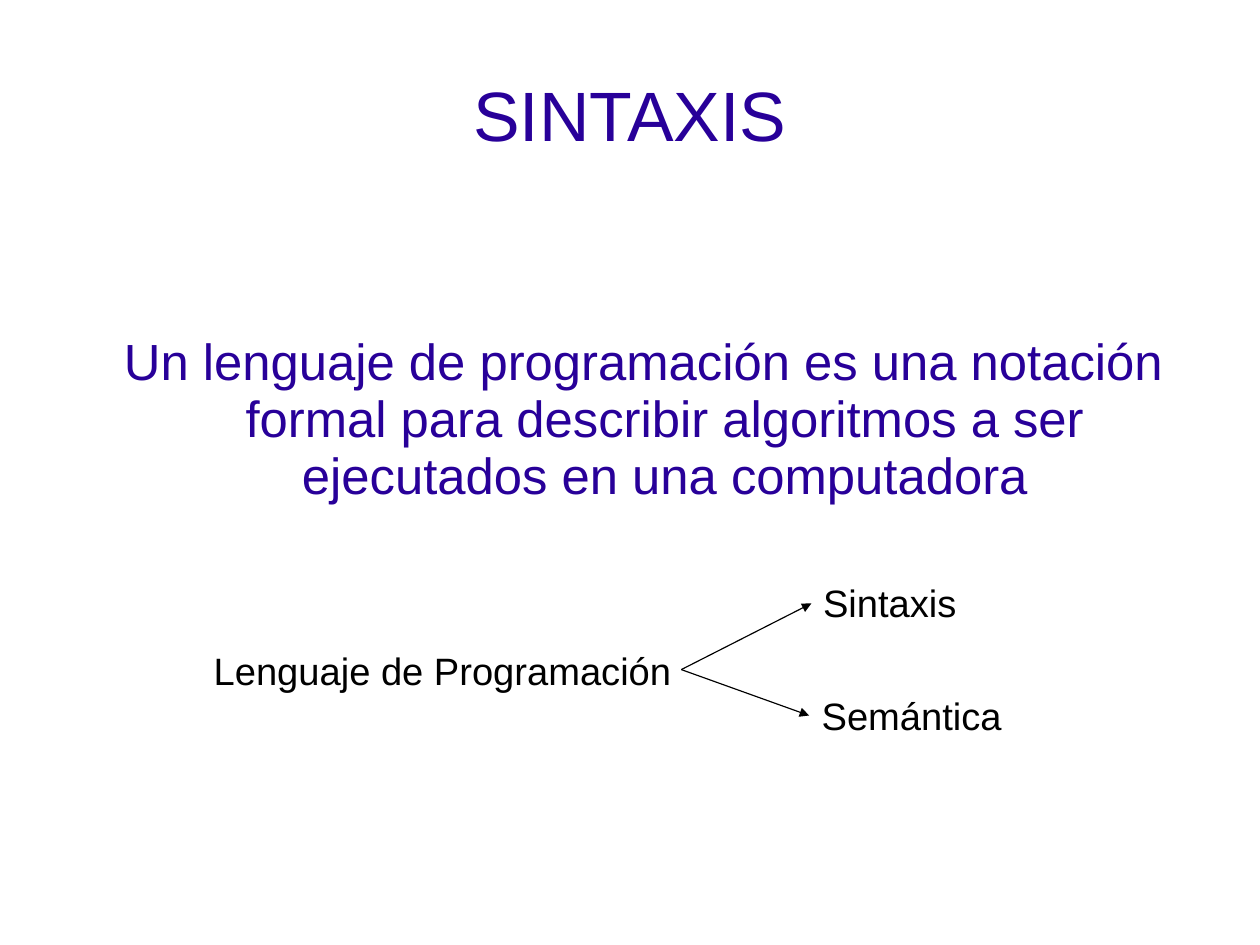
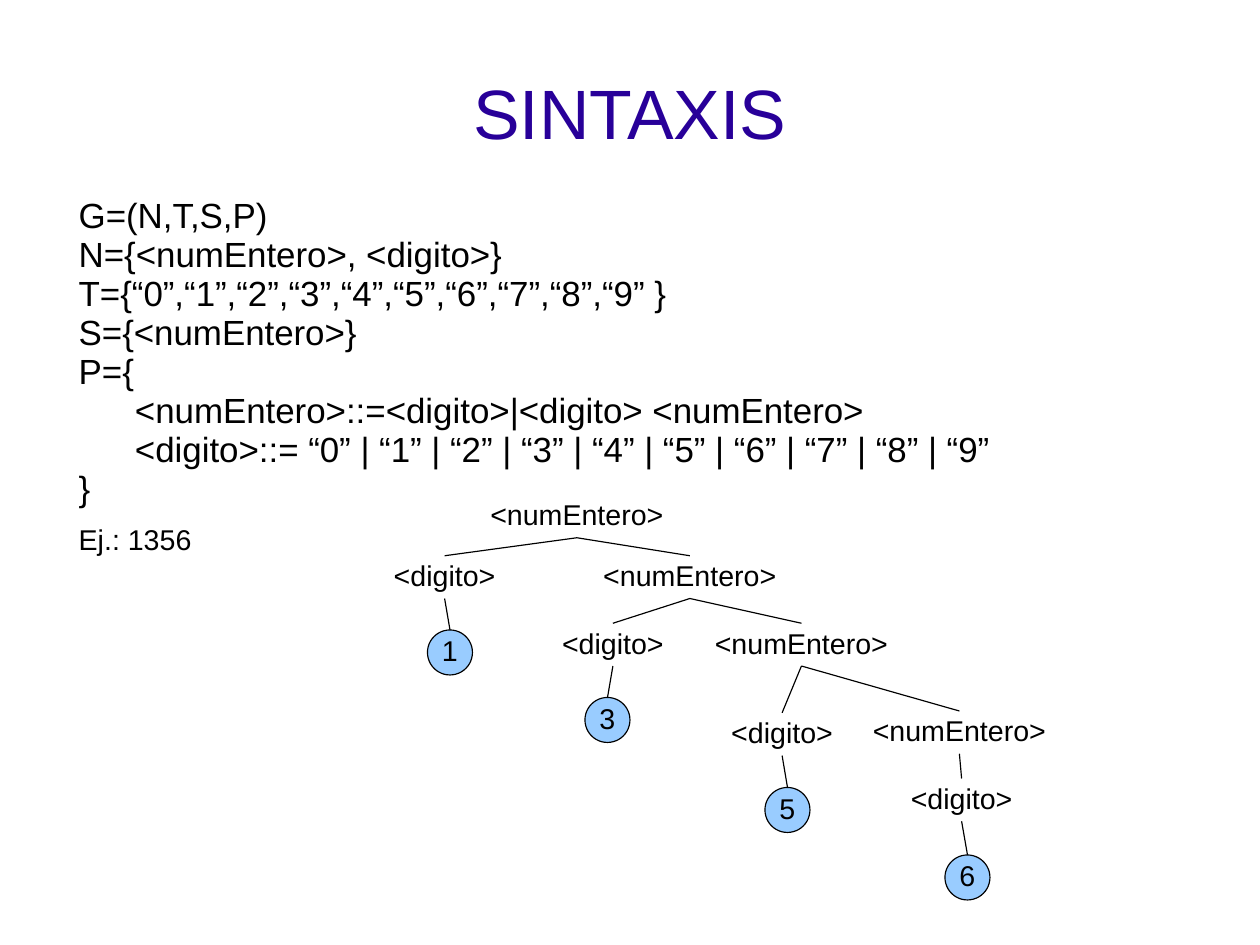
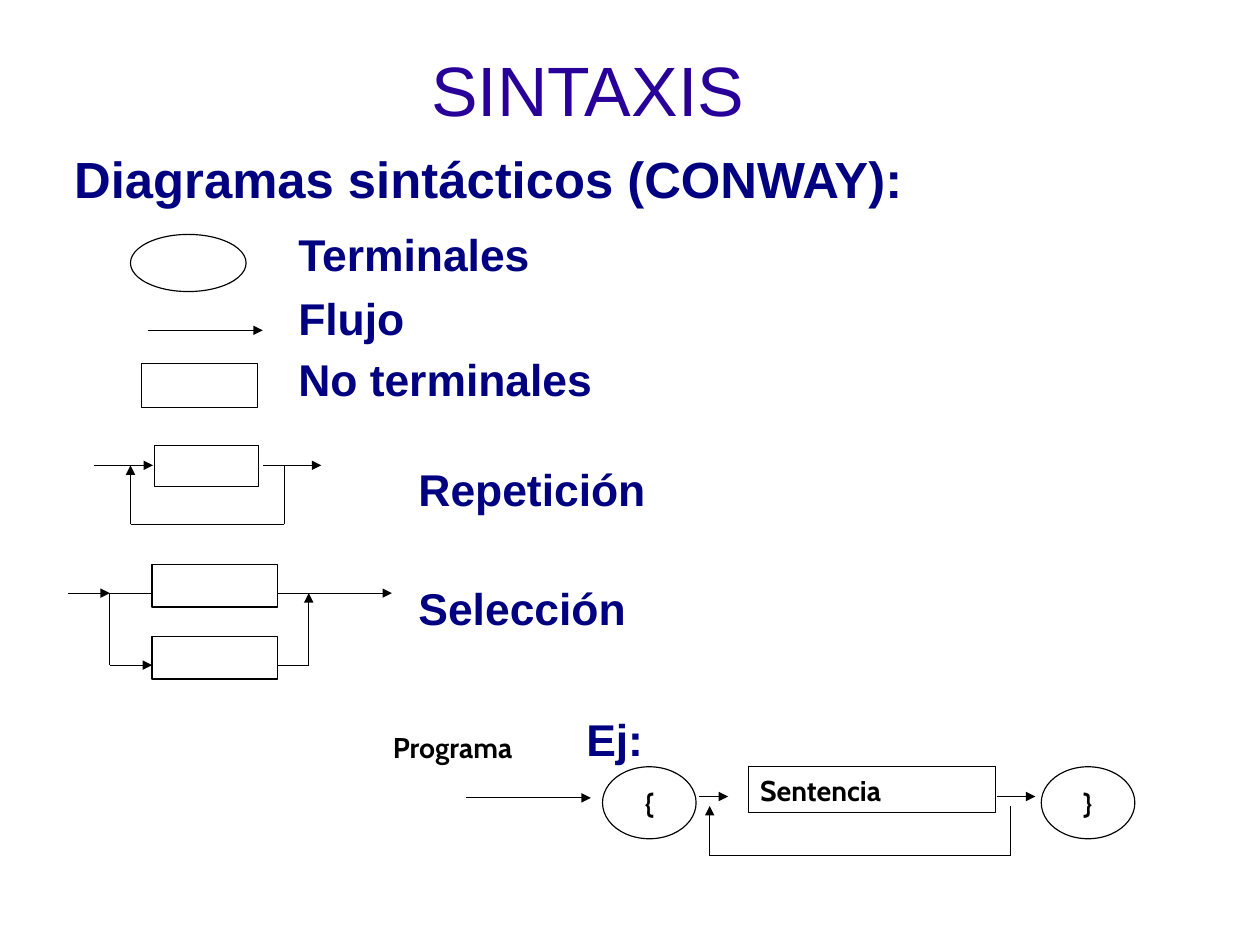
from dataclasses import dataclass

from lxml import etree
from pptx import Presentation
from pptx.dml.color import RGBColor
from pptx.enum.shapes import MSO_CONNECTOR, MSO_SHAPE
from pptx.enum.text import MSO_ANCHOR, PP_ALIGN
from pptx.oxml.ns import qn
from pptx.util import Cm, Pt

STRAIGHT = MSO_CONNECTOR.STRAIGHT
OVAL, RECTANGLE = MSO_SHAPE.OVAL, MSO_SHAPE.RECTANGLE
TOP, MIDDLE = MSO_ANCHOR.TOP, MSO_ANCHOR.MIDDLE
LEFT, CENTER = PP_ALIGN.LEFT, PP_ALIGN.CENTER


def font(size, color, name="Arial", bold=False):
    """Return the format values of a font."""
    return {"name": name, "size": Pt(size), "bold": bold, "color": RGBColor.from_string(color)}


@dataclass(frozen=True)
class Theme:
    """Hold the colours and type styles of the presentation."""
    ink = RGBColor.from_string("000000")
    leaf = RGBColor.from_string("99CCFF")
    title = font(44, "280099")
    statement = font(32, "280099")
    concept = font(24, "000000")
    grammar = font(22, "000000")
    node = font(18, "000000")
    heading = font(32, "000080", bold=True)
    legend = font(28, "000080", bold=True)
    symbol = font(18, "000000", "Cabin", True)
    line_width = Pt(0.75)
    line_spacing = 0.93


THEME = Theme()


@dataclass(frozen=True)
class Box:
    """Describe a rectangle in centimetres."""
    left: float
    top: float
    width: float
    height: float

    def inner(self, left, top, width, height):
        """Return a box placed relative to this one."""
        return Box(self.left + left, self.top + top, width, height)

    def lengths(self):
        """Return the four measures as lengths."""
        return [Cm(value) for value in (self.left, self.top, self.width, self.height)]


@dataclass(frozen=True)
class Node:
    """Describe a symbol of a derivation tree by its top centre."""
    text: str
    center: float
    top: float
    children: tuple = ()


def apply_format(target, values):
    """Set attributes of an object from format values."""
    for name, value in values.items():
        if name == "color":
            target.color.rgb = value
        else:
            setattr(target, name, value)


def write(shape, lines, style, align=LEFT, anchor=MIDDLE, inset=(0, 0), wrap=True, spacing=THEME.line_spacing):
    """Fill a shape with formatted paragraphs and return them."""
    frame = shape.text_frame
    side, edge = (Cm(value) for value in inset)
    apply_format(frame, {
        "text": "\n".join(lines), "word_wrap": wrap, "vertical_anchor": anchor,
        "margin_left": side, "margin_right": side, "margin_top": edge, "margin_bottom": edge,
    })
    for paragraph in frame.paragraphs:
        apply_format(paragraph, {"alignment": align, "line_spacing": spacing})
        for run in paragraph.runs:
            apply_format(run.font, style)
    return frame.paragraphs


def indent(paragraph, left, first=0):
    """Indent a paragraph."""
    properties = paragraph._p.get_or_add_pPr()
    properties.set("marL", str(Cm(left)))
    properties.set("indent", str(Cm(first)))


def add_text(slide, box, lines, style, **layout):
    """Add a text box and return its paragraphs."""
    return write(slide.shapes.add_textbox(*box.lengths()), lines, style, **layout)


def add_label(slide, box, left, middle, text, style, width=8):
    """Add one line of text centred on a height within a box."""
    add_text(slide, box.inner(left, middle - 0.75, width, 1.5), [text], style)


def add_outline(slide, kind, box, fill=None):
    """Add an outlined preset shape."""
    shape = slide.shapes.add_shape(kind, *box.lengths())
    shape.shadow.inherit = False
    if fill is None:
        shape.fill.background()
    else:
        shape.fill.solid()
        shape.fill.fore_color.rgb = fill
    apply_format(shape.line, {"color": THEME.ink, "width": THEME.line_width})
    return shape


def add_lines(slide, box, segments, arrow=False):
    """Add straight lines given by their ends within a box."""
    for x1, y1, x2, y2 in segments:
        ends = (box.left + x1, box.top + y1, box.left + x2, box.top + y2)
        connector = slide.shapes.add_connector(STRAIGHT, *[Cm(end) for end in ends])
        apply_format(connector.line, {"color": THEME.ink, "width": THEME.line_width})
        if arrow:
            etree.SubElement(connector.line._get_or_add_ln(), qn("a:tailEnd"), type="triangle")
        etree.SubElement(connector._element.spPr, qn("a:effectLst"))


def add_title(slide, box):
    """Add the title shared by all slides."""
    add_text(slide, box, ["SINTAXIS"], THEME.title, align=CENTER)


def add_statement(slide, box):
    """Add the definition of a programming language."""
    text = ("Un lenguaje de programación es una notación formal para describir "
            "algoritmos a ser ejecutados en una computadora")
    for paragraph in add_text(slide, box, [text], THEME.statement, align=CENTER):
        indent(paragraph, 0.97, -0.94)


def add_concepts(slide, box):
    """Add the two branches of a programming language."""
    for left, middle, text, width in (
        (0.25, 2.15, "Lenguaje de Programación", 11),
        (13.79, 0.65, "Sintaxis", 5),
        (13.76, 3.14, "Semántica", 5),
    ):
        add_label(slide, box, left, middle, text, THEME.concept, width)
    add_lines(slide, box, [(10.64, 2.08, 13.53, 0.61), (10.64, 2.08, 13.48, 3.1)], arrow=True)


def add_grammar(slide, box):
    """Add the grammar and its sample number."""
    productions = [
        "<numEntero>::=<digito>|<digito> <numEntero>",
        "<digito>::= “0” | “1” | “2” | “3” | “4” | “5” | “6” | “7” | “8” | “9”",
    ]
    lines = [
        "G=(N,T,S,P)",
        "N={<numEntero>, <digito>}",
        "T={“0”,“1”,“2”,“3”,“4”,“5”,“6”,“7”,“8”,“9” }",
        "S={<numEntero>}",
        "P={",
        *productions,
        "}",
    ]
    for paragraph in add_text(slide, box, lines, THEME.grammar, anchor=TOP):
        if paragraph.text in productions:
            indent(paragraph, 1.25)
    add_label(slide, box, 0, 7.64, "Ej.: 1356", THEME.node)


def add_tree(slide, box, node):
    """Add a node, its descendants and the lines between them."""
    size = 1 if node.text.isdigit() else 0.95
    if node.text.isdigit():
        place = box.inner(node.center - size / 2, node.top, size, size)
        shape = add_outline(slide, OVAL, place, THEME.leaf)
        write(shape, [node.text], THEME.node, align=CENTER, wrap=False)
    else:
        place = box.inner(node.center - 2.2, node.top, 4.4, size)
        add_text(slide, place, [node.text], THEME.node, align=CENTER)
    for child in node.children:
        add_lines(slide, box, [(node.center, node.top + size, child.center, child.top)])
        add_tree(slide, box, child)


def add_legend(slide, box):
    """Add the basic symbols of syntax diagrams."""
    add_outline(slide, OVAL, box.inner(0, 0, 2.57, 1.27))
    add_lines(slide, box, [(0.38, 2.13, 2.94, 2.13)], arrow=True)
    add_outline(slide, RECTANGLE, box.inner(0.25, 2.87, 2.57, 0.97))
    for middle, text in ((0.49, "Terminales"), (1.91, "Flujo"), (3.27, "No terminales")):
        add_label(slide, box, 3.73, middle, text, THEME.legend)


def add_repetition(slide, box):
    """Add the repetition diagram."""
    flow, back, entry, leave = 0.44, 1.75, 0.82, 4.24
    add_outline(slide, RECTANGLE, box.inner(1.35, 0, 2.31, 0.91))
    add_lines(slide, box, [
        (0, flow, 1.32, flow), (3.76, flow, 5.06, flow), (entry, back, entry, flow),
    ], arrow=True)
    add_lines(slide, box, [(leave, flow, leave, back), (entry, back, leave, back)])
    add_label(slide, box, 7.22, 1.02, "Repetición", THEME.legend)


def add_selection(slide, box):
    """Add the selection diagram."""
    upper, lower, fork, join = 0.63, 2.23, 0.94, 5.36
    start, end = 1.88, 4.67
    for top in (0, lower - upper):
        add_outline(slide, RECTANGLE, box.inner(start, top, end - start, 0.94))
    add_lines(slide, box, [
        (0, upper, fork, upper), (end, upper, 7.21, upper),
        (fork, lower, start, lower), (join, lower, join, upper),
    ], arrow=True)
    add_lines(slide, box, [
        (fork, upper, start, upper), (fork, upper, fork, lower), (end, lower, join, lower),
    ])
    add_label(slide, box, 7.8, 1.02, "Selección", THEME.legend)


def add_example(slide, box):
    """Add the syntax diagram of a program."""
    flow, loop, back, entry, leave = 1.6, 1.81, 2.92, 7.29, 13.97
    named = {"anchor": TOP, "inset": (0.25, 0.13), "spacing": 1.0}
    add_label(slide, box, 4.55, 0.38, "Ej:", THEME.legend, width=2)
    add_text(slide, box.inner(0, 0, 4, 1.02), ["Programa"], THEME.symbol, **named)
    for left, text in ((4.91, "{"), (14.66, "}")):
        shape = add_outline(slide, OVAL, box.inner(left, 0.94, 2.08, 1.6))
        write(shape, [text], THEME.symbol, align=CENTER, wrap=False, spacing=1.0)
    sentence = add_outline(slide, RECTANGLE, box.inner(8.16, 0.94, 5.49, 1.02))
    write(sentence, ["Sentencia"], THEME.symbol, **named)
    add_lines(slide, box, [
        (1.88, 1.63, 4.65, 1.63), (7.06, flow, 7.7, flow),
        (13.67, flow, 14.53, flow), (entry, back, entry, loop),
    ], arrow=True)
    add_lines(slide, box, [(leave, loop, leave, back), (leave, back, entry, back)])


def build_definition(slide):
    """Build the slide that defines a programming language."""
    add_title(slide, Box(1.4, 1.01, 25.2, 3.25))
    add_statement(slide, Box(2, 5.66, 24.6, 7.37))
    add_concepts(slide, Box(4.5, 12.8, 18, 4))


def build_grammar(slide):
    """Build the slide with a grammar and a derivation tree."""
    number, digit = "<numEntero>", "<digito>"
    last = Node(number, 11.32, 4.8, (Node(digit, 11.37, 6.3, (Node("6", 11.5, 8),)),))
    third = Node(number, 7.81, 2.85, (Node(digit, 7.38, 4.84, (Node("5", 7.5, 6.5),)), last))
    second = Node(number, 5.33, 1.35, (Node(digit, 3.62, 2.85, (Node("3", 3.5, 4.5),)), third))
    root = Node(number, 2.82, 0, (Node(digit, -0.12, 1.35, (Node("1", 0, 3),)), second))
    add_title(slide, Box(1.4, 0.95, 25.2, 3.25))
    add_grammar(slide, Box(1.75, 4.39, 25.4, 7.1))
    add_tree(slide, Box(10, 11, 14, 9), root)


def build_diagrams(slide):
    """Build the slide about syntax diagrams."""
    add_title(slide, Box(1.14, 1.12, 23.85, 1.9))
    heading = Box(1.65, 3.28, 24, 1.5)
    add_label(slide, heading, 0, 0.75, "Diagramas sintácticos (CONWAY):", THEME.heading, heading.width)
    add_legend(slide, Box(2.9, 5.21, 12, 4))
    add_repetition(slide, Box(2.08, 9.9, 15, 2))
    add_selection(slide, Box(1.5, 12.55, 15, 3))
    add_example(slide, Box(8.48, 16.1, 17, 3))


def main():
    """Build and save the presentation."""
    presentation = Presentation()
    apply_format(presentation, {"slide_width": Cm(28), "slide_height": Cm(21)})
    blank = presentation.slide_layouts[6]
    for build in (build_definition, build_grammar, build_diagrams):
        build(presentation.slides.add_slide(blank))
    presentation.save("out.pptx")


if __name__ == "__main__":
    main()
